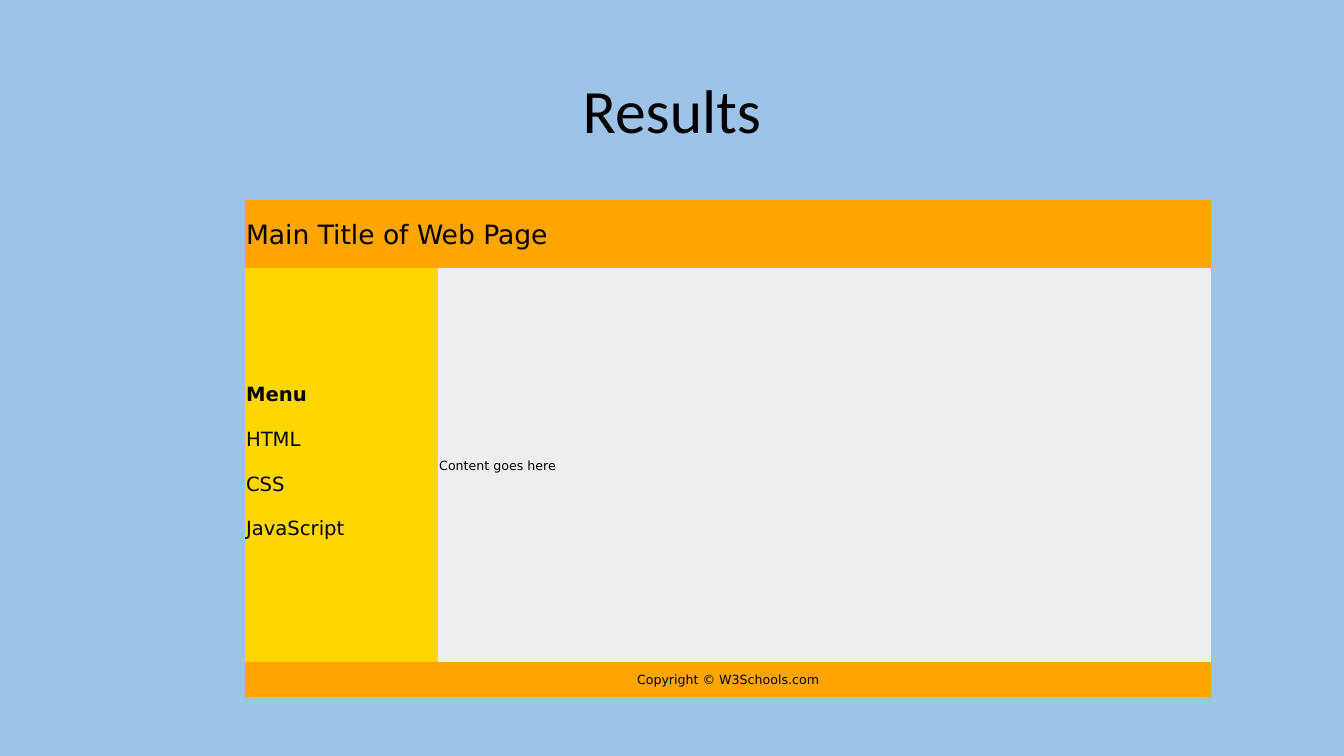
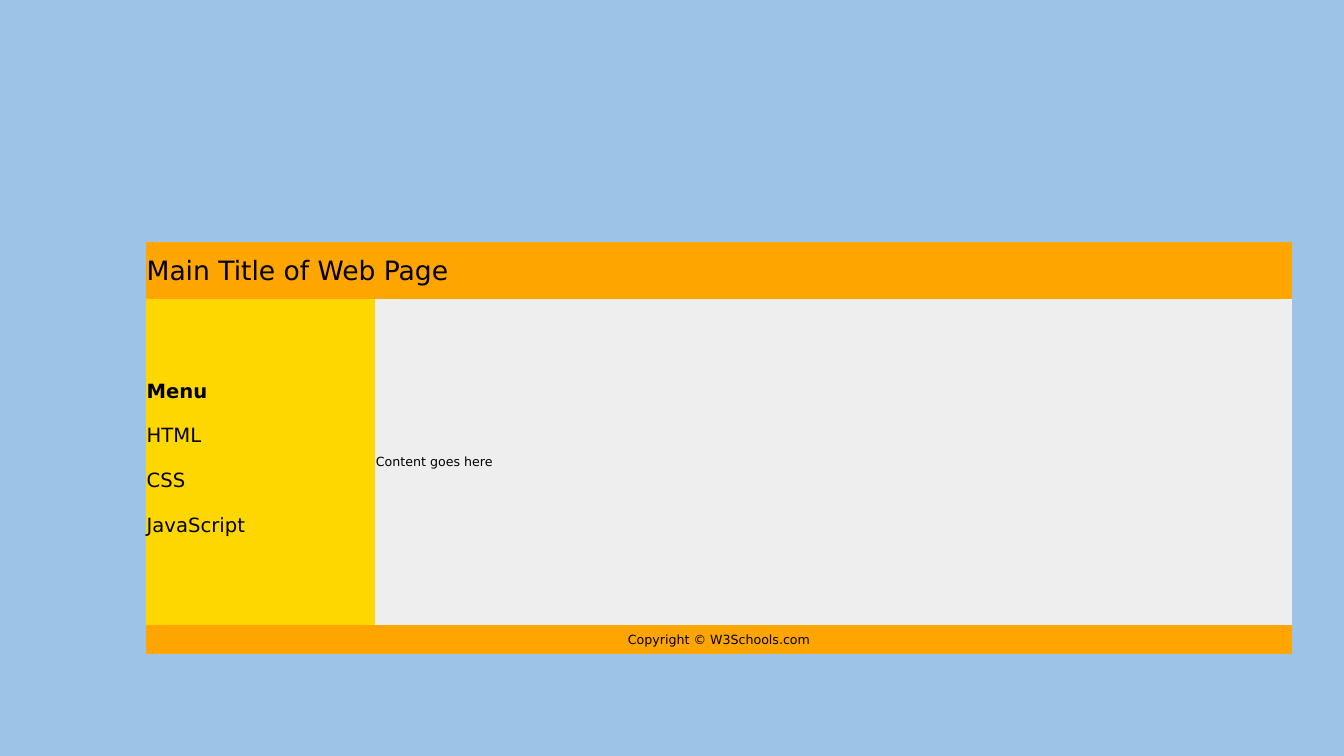
from dataclasses import dataclass

from pptx import Presentation
from pptx.dml.color import RGBColor
from pptx.enum.text import MSO_ANCHOR, PP_ALIGN
from pptx.oxml.ns import qn
from pptx.util import Pt

LEFT, CENTER = PP_ALIGN.LEFT, PP_ALIGN.CENTER
MIDDLE = MSO_ANCHOR.MIDDLE
TITLE_ONLY, BLANK = 5, 6
PLAIN_TABLE_STYLE = "{2D5ABB26-0587-4C30-8999-92F81FD0307C}"


@dataclass(frozen=True)
class Theme:
    sky: str = "9DC3E6"
    orange: str = "FFA500"
    gold: str = "FFD700"
    grey: str = "EEEEEE"
    ink: str = "000000"
    title_font: str = "Calibri"
    web_font: str = "DejaVu Sans"
    title_size: float = 44
    heading_size: float = 19
    menu_size: float = 14
    small_size: float = 9


THEME = Theme()
COLUMN_SHARES = (0.2, 0.8)
ROW_SHARES = (0.137, 0.792, 0.071)
CELL_MARGIN = Pt(0.75)
TEXT_SPACING = {"line_spacing": Pt(12), "space_after": Pt(8)}
MENU = ("Menu", "HTML", "CSS", "JavaScript")


def apply(target, formats):
    for name, value in formats.items():
        setattr(target, name, value)


def paint(fill, color):
    fill.solid()
    fill.fore_color.rgb = RGBColor.from_string(color)


def write(para, text, size, font=THEME.web_font, bold=False, **spacing):
    apply(para, spacing)
    span = para.add_run()
    span.text = text
    apply(span.font, {"name": font, "size": Pt(size), "bold": bold})
    span.font.color.rgb = RGBColor.from_string(THEME.ink)


def add_title(page, text):
    box = page.shapes.title
    apply(box, {"left": Pt(66), "top": Pt(29), "width": Pt(828), "height": Pt(104)})
    box.text_frame.vertical_anchor = MIDDLE
    write(box.text_frame.paragraphs[0], text, THEME.title_size,
          THEME.title_font, alignment=CENTER, line_spacing=0.9)


def format_cell(cell, color):
    paint(cell.fill, color)
    margins = {f"margin_{side}": CELL_MARGIN
               for side in ("left", "right", "top", "bottom")}
    apply(cell, {"vertical_anchor": MIDDLE, **margins})


def write_menu(frame):
    for index, label in enumerate(MENU):
        first = index == 0
        para = frame.paragraphs[0] if first else frame.add_paragraph()
        write(para, label, THEME.menu_size, bold=first, alignment=LEFT,
              space_before=Pt(0 if first else 12), **TEXT_SPACING)


def add_web_layout(page, left, top, width, height):
    box = page.shapes.add_table(len(ROW_SHARES), len(COLUMN_SHARES),
                                Pt(left), Pt(top), Pt(width), Pt(height))
    table = box.table
    apply(table, {"first_row": False, "horz_banding": False})
    for style in box.element.iter(qn("a:tableStyleId")):
        style.text = PLAIN_TABLE_STYLE
    for column, share in zip(table.columns, COLUMN_SHARES):
        column.width = Pt(width * share)
    for row, share in zip(table.rows, ROW_SHARES):
        row.height = Pt(height * share)

    colors = ((THEME.orange,) * 2, (THEME.gold, THEME.grey), (THEME.orange,) * 2)
    for row, row_colors in zip(table.rows, colors):
        for cell, color in zip(row.cells, row_colors):
            format_cell(cell, color)

    header, menu = table.cell(0, 0), table.cell(1, 0)
    content, footer = table.cell(1, 1), table.cell(2, 0)
    header.merge(table.cell(0, 1))
    footer.merge(table.cell(2, 1))
    write(header.text_frame.paragraphs[0], "Main Title of Web Page",
          THEME.heading_size, alignment=LEFT, line_spacing=1.07)
    write_menu(menu.text_frame)
    write(content.text_frame.paragraphs[0], "Content goes here",
          THEME.small_size, alignment=LEFT, **TEXT_SPACING)
    write(footer.text_frame.paragraphs[0], "Copyright © W3Schools.com",
          THEME.small_size, alignment=CENTER, **TEXT_SPACING)


def main():
    deck = Presentation()
    apply(deck, {"slide_width": Pt(960), "slide_height": Pt(540)})
    paint(deck.slide_master.background.fill, THEME.sky)

    results = deck.slides.add_slide(deck.slide_layouts[TITLE_ONLY])
    add_title(results, "Results")
    add_web_layout(results, 175, 143, 690, 355)

    wide = deck.slides.add_slide(deck.slide_layouts[BLANK])
    add_web_layout(wide, 104, 173, 819, 294)

    deck.save("out.pptx")


if __name__ == "__main__":
    main()
